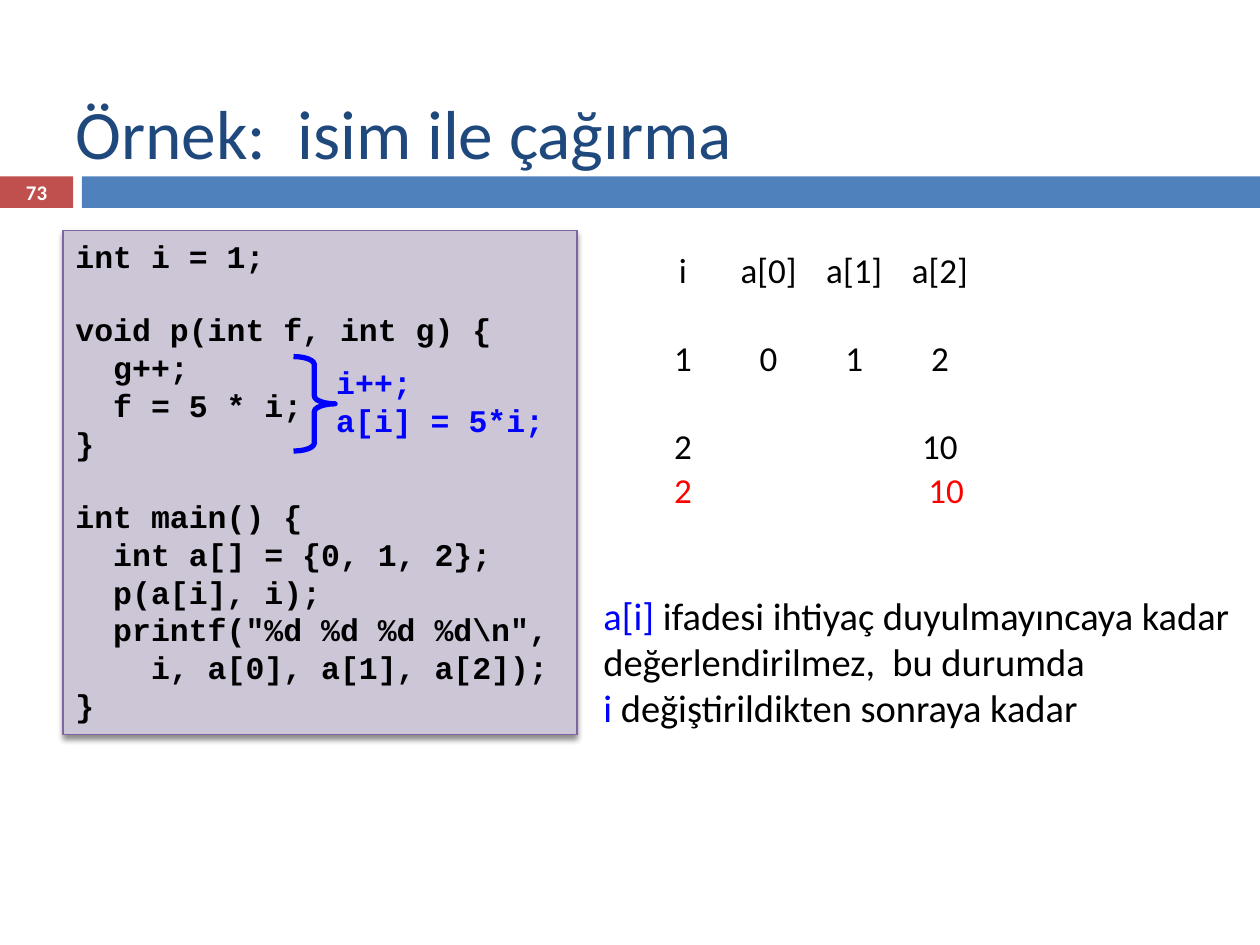
from lxml.etree import SubElement
from pptx import Presentation
from pptx.dml.color import RGBColor
from pptx.enum.shapes import MSO_SHAPE as Shape
from pptx.enum.text import MSO_ANCHOR as Anchor, PP_ALIGN as Align
from pptx.oxml.ns import qn
from pptx.util import Inches, Pt

BLACK = RGBColor(0x00, 0x00, 0x00)
WHITE = RGBColor(0xFF, 0xFF, 0xFF)
NAVY = RGBColor(0x1F, 0x49, 0x7D)
BAR_BLUE = RGBColor(0x4F, 0x81, 0xBD)
BAR_RED = RGBColor(0xC0, 0x50, 0x4D)
LILAC = RGBColor(0xCD, 0xC6, 0xD7)
PURPLE = RGBColor(0x80, 0x64, 0xA2)
BLUE = RGBColor(0x00, 0x00, 0xFF)
RED = RGBColor(0xFF, 0x00, 0x00)

# Content: a line is a text, or a list of (text, colour) spans
TITLE = "Örnek:  isim ile çağırma"
PAGE_NUMBER = "73"
CODE_BLOCKS = [
    ["int i = 1;"],
    ["void p(int f, int g) {", "  g++;", "  f = 5 * i;", "}"],
    ["int main() {", "  int a[] = {0, 1, 2};", "  p(a[i], i);",
     '  printf("%d %d %d %d\\n",', "    i, a[0], a[1], a[2]);", "}"],
]
EXPANSION = ["i++;", "a[i] = 5*i;"]
TRACE = [
    ["i", "a[0]", "a[1]", "a[2]"],
    ["1", "0", "1", "2"],
    ["2", "", "", "10"],
]
RESULT = ["2", "", "", "10"]
EXPLANATION = [
    [("a[i] ", BLUE), ("ifadesi ihtiyaç duyulmayıncaya kadar", BLACK)],
    "değerlendirilmez,  bu durumda",
    [("i", BLUE), (" değiştirildikten sonraya kadar", BLACK)],
]

# Trace grid, in inches
GRID_LEFT, GRID_TOP = 5.08, 1.92
COLUMN, ROW = 0.68, 0.7
CODE_GAP = 20.4  # one line of 18 pt code, in points

deck = Presentation()
deck.slide_width, deck.slide_height = Inches(10), Inches(7.5)
page = deck.slides.add_slide(deck.slide_layouts[6])


def add_shape(kind, *place, fill=None, line=None, width=1):
    shape = page.shapes.add_shape(kind, *map(Inches, place))
    shape.shadow.inherit = False
    if fill is None:
        shape.fill.background()
    else:
        shape.fill.solid()
        shape.fill.fore_color.rgb = fill
    if line is None:
        shape.line.fill.background()
    else:
        shape.line.color.rgb = line
        shape.line.width = Pt(width)
    return shape


def write(box, lines, size=20, font="Calibri", color=BLACK, bold=False,
          align=Align.LEFT, anchor=Anchor.TOP, wrap=True, gaps=()):
    """Fill a box with lines; gaps maps a line number to its space before."""
    frame = box.text_frame
    frame.word_wrap = wrap
    frame.vertical_anchor = anchor
    for number, line in enumerate(lines):
        para = frame.paragraphs[0] if number == 0 else frame.add_paragraph()
        para.alignment = align
        if number in gaps:
            para.space_before = Pt(CODE_GAP)
        for text, tint in [(line, color)] if isinstance(line, str) else line:
            span = para.add_run()
            span.text = text
            span.font.name, span.font.size = font, Pt(size)
            span.font.bold, span.font.color.rgb = bold, tint


def add_text(lines, *place, **style):
    write(page.shapes.add_textbox(*map(Inches, place)), lines, **style)


def add_soft_shadow(shape):
    effects = shape._element.spPr.find(qn("a:effectLst"))
    shadow = SubElement(effects, qn("a:outerShdw"), blurRad=str(Pt(3)),
                        dist=str(Pt(2.4)), dir="5400000", rotWithShape="0")
    tint = SubElement(shadow, qn("a:srgbClr"), val="000000")
    SubElement(tint, qn("a:alpha"), val="45000")


def add_row(cells, top, color=BLACK, last_shift=0):
    for column, text in enumerate(cells):
        if text:
            shift = last_shift if column == len(cells) - 1 else 0
            add_text([text], GRID_LEFT + column * COLUMN + shift, top,
                     COLUMN, ROW, color=color, align=Align.CENTER)


# Title band
number_box = add_shape(Shape.RECTANGLE, 0, 1.4, 0.58, 0.25, fill=BAR_RED)
write(number_box, [PAGE_NUMBER], size=11.9, color=WHITE, bold=True,
      align=Align.CENTER, anchor=Anchor.MIDDLE)
add_shape(Shape.RECTANGLE, 0.65, 1.4, 9.35, 0.25, fill=BAR_BLUE)
add_text([TITLE], 0.5, 0.67, 8.92, 0.75, size=39.6, color=NAVY,
         anchor=Anchor.MIDDLE)

# Program, with a gap before each block after the first
code_lines, block_starts = [], []
for block in CODE_BLOCKS:
    if code_lines:
        block_starts.append(len(code_lines))
    code_lines += block
panel = add_shape(Shape.RECTANGLE, 0.5, 1.83, 4.08, 4,
                  fill=LILAC, line=PURPLE, width=0.79)
add_soft_shadow(panel)
write(panel, code_lines, size=18, font="Courier New", bold=True,
      gaps=block_starts)

# What the body of p becomes
add_text(EXPANSION, 2.57, 2.83, 1.85, 0.7, size=18, font="Courier New",
         color=BLUE, bold=True, wrap=False)
brace = add_shape(Shape.RIGHT_BRACE, 2.33, 2.83, 0.33, 0.75,
                  line=BLUE, width=3)
brace.adjustments[0] = 0.19

# Values of the variables
for row, cells in enumerate(TRACE):
    add_row(cells, GRID_TOP + row * ROW)
add_row(RESULT, GRID_TOP + 2.5 * ROW, color=RED, last_shift=0.05)

# Explanation
add_text(EXPLANATION, 4.69, 4.65, 5.29, 1.21, size=22, wrap=False)

deck.save("out.pptx")
